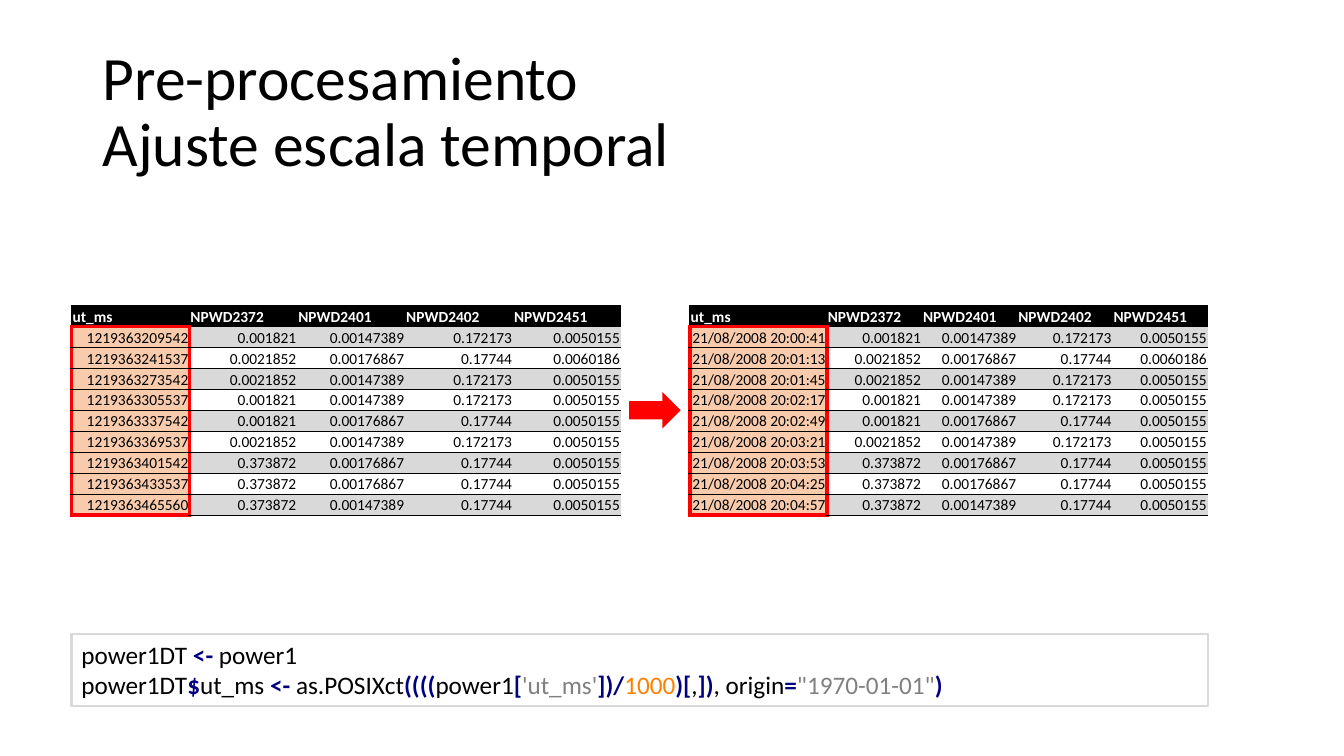
"""Builds the slide on adjusting the time scale during pre-processing."""
import dataclasses

import lxml.etree
import pptx
import pptx.dml.color
import pptx.enum.shapes
import pptx.enum.text
import pptx.oxml.ns
import pptx.util

Inches = pptx.util.Inches
Pt = pptx.util.Pt
ANCHOR = pptx.enum.text.MSO_ANCHOR
ALIGN = pptx.enum.text.PP_ALIGN
SHAPE = pptx.enum.shapes.MSO_SHAPE


@dataclasses.dataclass(frozen=True)
class Theme:
    """Colours, font and type sizes of the slide."""
    font: str = "Calibri"
    title_size: float = 44
    code_size: float = 18
    cell_size: float = 11
    ink: str = "000000"
    paper: str = "FFFFFF"
    band: str = "D9D9D9"
    time_fill: str = "F8CBAD"
    accent: str = "FF0000"
    operator: str = "000080"
    string: str = "808080"
    number: str = "FF8000"


THEME = Theme()
THIN = (THEME.ink, 0.5)
THICK = (THEME.accent, 3)

SENSORS = ["NPWD2372", "NPWD2401", "NPWD2402", "NPWD2451"]
READINGS = [
    ("0.001821", "0.00147389", "0.172173", "0.0050155"),
    ("0.0021852", "0.00176867", "0.17744", "0.0060186"),
    ("0.0021852", "0.00147389", "0.172173", "0.0050155"),
    ("0.001821", "0.00147389", "0.172173", "0.0050155"),
    ("0.001821", "0.00176867", "0.17744", "0.0050155"),
    ("0.0021852", "0.00147389", "0.172173", "0.0050155"),
    ("0.373872", "0.00176867", "0.17744", "0.0050155"),
    ("0.373872", "0.00176867", "0.17744", "0.0050155"),
    ("0.373872", "0.00147389", "0.17744", "0.0050155"),
]
MILLISECONDS = [
    "1219363209542", "1219363241537", "1219363273542",
    "1219363305537", "1219363337542", "1219363369537",
    "1219363401542", "1219363433537", "1219363465560",
]
CLOCK_TIMES = ["20:00:41", "20:01:13", "20:01:45", "20:02:17", "20:02:49",
               "20:03:21", "20:03:53", "20:04:25", "20:04:57"]
DATES = [f"21/08/2008 {clock_time}" for clock_time in CLOCK_TIMES]

CODE_LINES = [
    [("power1DT ", THEME.ink), ("<-", THEME.operator), (" power1", THEME.ink)],
    [("power1DT", THEME.ink), ("$", THEME.operator), ("ut_ms ", THEME.ink),
     ("<-", THEME.operator), (" as.POSIXct", THEME.ink),
     ("((((", THEME.operator), ("power1", THEME.ink), ("[", THEME.operator),
     ("'ut_ms'", THEME.string), ("])/", THEME.operator),
     ("1000", THEME.number), (")[", THEME.operator), (",", THEME.ink),
     ("])", THEME.operator), (", origin", THEME.ink), ("=", THEME.operator),
     ('"1970-01-01"', THEME.string), (")", THEME.operator)],
]


def rgb(colour):
    """Turn a hexadecimal colour into an RGB colour."""
    return pptx.dml.color.RGBColor.from_string(colour)


def add_run(paragraph, text, size, colour, bold=False):
    """Append one formatted run to a paragraph."""
    run = paragraph.add_run()
    run.text = text
    run.font.name = THEME.font
    run.font.size = Pt(size)
    run.font.bold = bold
    run.font.color.rgb = rgb(colour)


def add_title(slide, lines):
    """Add the title, one line break between its lines."""
    box = slide.shapes.add_textbox(
        Inches(0.92), Inches(0.4), Inches(11.5), Inches(1.45))
    frame = box.text_frame
    frame.word_wrap = True
    frame.vertical_anchor = ANCHOR.MIDDLE
    paragraph = frame.paragraphs[0]
    paragraph.line_spacing = 0.9
    for index, line in enumerate(lines):
        if index:
            paragraph.add_line_break()
        add_run(paragraph, line, THEME.title_size, THEME.ink)


def set_borders(cell, **borders):
    """Draw the given sides of a cell and hide the others."""
    properties = cell._tc.get_or_add_tcPr()
    for side in "LRTB":
        line = lxml.etree.SubElement(properties, pptx.oxml.ns.qn(f"a:ln{side}"))
        if side not in borders:
            lxml.etree.SubElement(line, pptx.oxml.ns.qn("a:noFill"))
            continue
        colour, width = borders[side]
        line.set("w", str(Pt(width)))
        fill = lxml.etree.SubElement(line, pptx.oxml.ns.qn("a:solidFill"))
        lxml.etree.SubElement(fill, pptx.oxml.ns.qn("a:srgbClr"), val=colour)


def cell_borders(row, column, last_row):
    """Choose borders so that a red frame surrounds the time values."""
    borders = {"T": THIN, "B": THIN}
    if row == 0 and column == 0:
        borders.update(L=THIN, B=THICK)
    elif row and column == 0:
        borders.update(L=THICK, R=THICK)
        if row == 1:
            borders["T"] = THICK
        if row == last_row:
            borders["B"] = THICK
    elif row and column == 1:
        borders["L"] = THICK
    return borders


def cell_fill(row, column):
    """Choose the fill colour of a cell, or None for no fill."""
    if row == 0:
        return THEME.ink
    if column == 0:
        return THEME.time_fill
    return THEME.band if row % 2 else None


def format_cell(cell, text, row, column, last_row):
    """Write and format one table cell."""
    cell.margin_left = cell.margin_right = cell.margin_top = Inches(0.01)
    cell.margin_bottom = 0
    cell.vertical_anchor = ANCHOR.BOTTOM
    set_borders(cell, **cell_borders(row, column, last_row))
    fill = cell_fill(row, column)
    if fill:
        cell.fill.solid()
        cell.fill.fore_color.rgb = rgb(fill)
    else:
        cell.fill.background()
    paragraph = cell.text_frame.paragraphs[0]
    paragraph.alignment = ALIGN.RIGHT if row else ALIGN.LEFT
    colour = THEME.ink if row else THEME.paper
    add_run(paragraph, text, THEME.cell_size, colour, bold=row == 0)


def add_readings_table(slide, left, width, time_width, times):
    """Add the sensor readings with the given time column."""
    rows = [("ut_ms", *SENSORS)]
    rows += [(time, *values) for time, values in zip(times, READINGS)]
    table = slide.shapes.add_table(
        len(rows), len(rows[0]), Inches(left), Inches(3.03),
        Inches(width), Inches(2.08)).table
    table.first_row = table.horz_banding = False
    sensor_width = (width - time_width) / len(SENSORS)
    for index, column in enumerate(table.columns):
        column.width = Inches(sensor_width if index else time_width)
    for row, values in enumerate(rows):
        for column, text in enumerate(values):
            format_cell(table.cell(row, column), text, row, column, len(rows) - 1)


def add_code_box(slide):
    """Add the outlined box with the highlighted code."""
    shape = slide.shapes.add_shape(
        SHAPE.RECTANGLE, Inches(0.71), Inches(6.29), Inches(11.27), Inches(0.71))
    shape.shadow.inherit = False
    shape.fill.background()
    shape.line.color.rgb = rgb(THEME.band)
    shape.line.width = Pt(1.5)
    frame = shape.text_frame
    frame.word_wrap = True
    frame.vertical_anchor = ANCHOR.TOP
    for index, line in enumerate(CODE_LINES):
        paragraph = frame.add_paragraph() if index else frame.paragraphs[0]
        paragraph.alignment = ALIGN.LEFT
        for text, colour in line:
            add_run(paragraph, text, THEME.code_size, colour, colour == THEME.operator)


def add_arrow(slide):
    """Add the red arrow between the tables."""
    arrow = slide.shapes.add_shape(
        SHAPE.RIGHT_ARROW, Inches(6.24), Inches(3.89), Inches(0.51), Inches(0.36))
    arrow.shadow.inherit = False
    arrow.fill.solid()
    arrow.fill.fore_color.rgb = rgb(THEME.accent)
    arrow.line.fill.background()


def main():
    """Build and save the presentation."""
    presentation = pptx.Presentation()
    presentation.slide_width = Inches(13.33)
    presentation.slide_height = Inches(7.5)
    slide = presentation.slides.add_slide(presentation.slide_layouts[6])
    add_title(slide, ["Pre-procesamiento", "Ajuste escala temporal"])
    add_readings_table(slide, 0.71, 5.45, 1.17, MILLISECONDS)
    add_readings_table(slide, 6.84, 5.14, 1.36, DATES)
    add_code_box(slide)
    add_arrow(slide)
    presentation.save("out.pptx")


if __name__ == "__main__":
    main()
